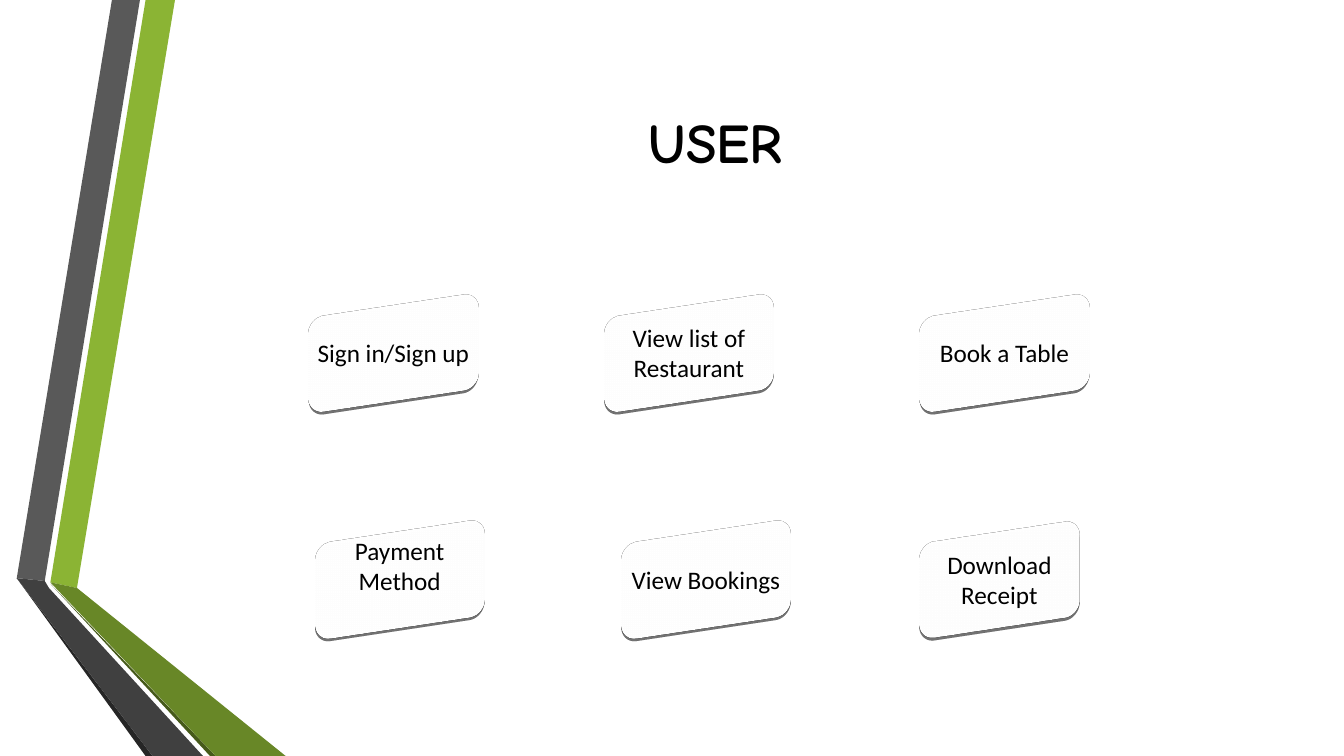
from pptx import Presentation
from pptx.dml.color import RGBColor
from pptx.enum.shapes import MSO_SHAPE
from pptx.enum.text import MSO_ANCHOR, PP_ALIGN
from pptx.oxml import parse_xml
from pptx.oxml.ns import nsdecls
from pptx.util import Pt

RIBBONS = [
    ("8BB434", [(36, 416.2), (55.4, 419.8), (124.6, 0), (104.4, 0)]),
    ("595959", [(100, 0), (80, 0), (11.5, 412.6), (31.7, 415.4)]),
    ("262626", [(11.5, 412.6), (104.4, 540), (108.7, 540)]),
    ("465A1A", [(36, 416.9), (149.8, 540), (154, 540)]),
    ("688727", [(36, 416.2), (154, 540), (203.8, 540), (55.4, 419.8)]),
    ("404040", [(145.4, 540), (34.6, 419.8), (31.7, 415.4), (11.5, 412.6), (108.7, 540)]),
]
TOP_ROW, BOTTOM_ROW = 216, 378
CARDS = [
    ("Sign in/Sign up", 213.8, TOP_ROW, 134.6),
    ("View list of Restaurant", 424.8, TOP_ROW, 134.6),
    ("Book a Table", 650.2, TOP_ROW, 134.6),
    ("View Bookings", 437, BOTTOM_ROW, 134.6),
    ("Download Receipt", 650.2, BOTTOM_ROW, 127.4),
]
SHADOW = (
    f'<a:outerShdw {nsdecls("a")} blurRad="44450" dist="27940" dir="5400000" algn="ctr">'
    '<a:srgbClr val="000000"><a:alpha val="32000"/></a:srgbClr></a:outerShdw>'
)
SCENE = (
    f'<a:scene3d {nsdecls("a")}><a:camera prst="isometricOffAxis1Right"/>'
    '<a:lightRig rig="balanced" dir="t"><a:rot lat="0" lon="0" rev="8700000"/></a:lightRig></a:scene3d>'
)
BEVEL = f'<a:sp3d {nsdecls("a")}><a:bevelT w="190500" h="38100"/></a:sp3d>'


def color(value):
    """Turn a hex string into a colour."""
    return RGBColor.from_string(value)


class SlideBuilder:
    """Holds the style and the current slide."""

    title_font = "Comic Neue"
    body_font = "Calibri"
    ink = "000000"
    paper = "FFFFFF"
    card_height = 72

    def __init__(self, slide):
        """Keep the slide to draw on."""
        self.slide = slide

    def label(self, shape, text, font_name, size, bold=False):
        """Put centred text into a shape."""
        text_frame = shape.text_frame
        text_frame.text = text
        text_frame.word_wrap = True
        text_frame.vertical_anchor = MSO_ANCHOR.MIDDLE
        paragraph = text_frame.paragraphs[0]
        paragraph.alignment = PP_ALIGN.CENTER
        font = paragraph.runs[0].font
        font.name = font_name
        font.size = Pt(size)
        font.bold = bold
        font.color.rgb = color(self.ink)

    def title(self, text, left, top, width, height):
        """Fill and move the title placeholder."""
        shape = self.slide.shapes.title
        shape.left, shape.top = Pt(left), Pt(top)
        shape.width, shape.height = Pt(width), Pt(height)
        self.label(shape, text, self.title_font, 40, bold=True)

    def ribbon(self, fill, points):
        """Draw one flat outline of the side ribbon."""
        builder = self.slide.shapes.build_freeform(*points[0], scale=Pt(1))
        builder.add_line_segments(points[1:], close=True)
        self.paint(builder.convert_to_shape(), fill)

    def paint(self, shape, fill):
        """Give a shape a plain fill without line or shadow."""
        shape.shadow.inherit = False
        shape.fill.solid()
        shape.fill.fore_color.rgb = color(fill)
        shape.line.fill.background()

    def card(self, text, left, top, width):
        """Draw a tilted white card with a soft shadow."""
        shape = self.slide.shapes.add_shape(
            MSO_SHAPE.ROUNDED_RECTANGLE, Pt(left), Pt(top), Pt(width), Pt(self.card_height)
        )
        self.paint(shape, self.paper)
        properties = shape.element.spPr
        properties.find(".//{*}effectLst").append(parse_xml(SHADOW))
        properties.append(parse_xml(SCENE))
        properties.append(parse_xml(BEVEL))
        self.label(shape, text, self.body_font, 18)
        return shape


def main():
    """Build the slide and save it."""
    presentation = Presentation()
    presentation.slide_width, presentation.slide_height = Pt(960), Pt(540)
    builder = SlideBuilder(presentation.slides.add_slide(presentation.slide_layouts[5]))
    for fill, points in RIBBONS:
        builder.ribbon(fill, points)
    builder.title("USER", 116.6, 31.7, 789.1, 138.2)
    for card in CARDS:
        builder.card(*card)
    payment = builder.card("Payment Method", 218.2, BOTTOM_ROW, 134.6)
    payment.text_frame.vertical_anchor = MSO_ANCHOR.TOP
    payment.text_frame.margin_top = Pt(1)
    presentation.save("out.pptx")


if __name__ == "__main__":
    main()
